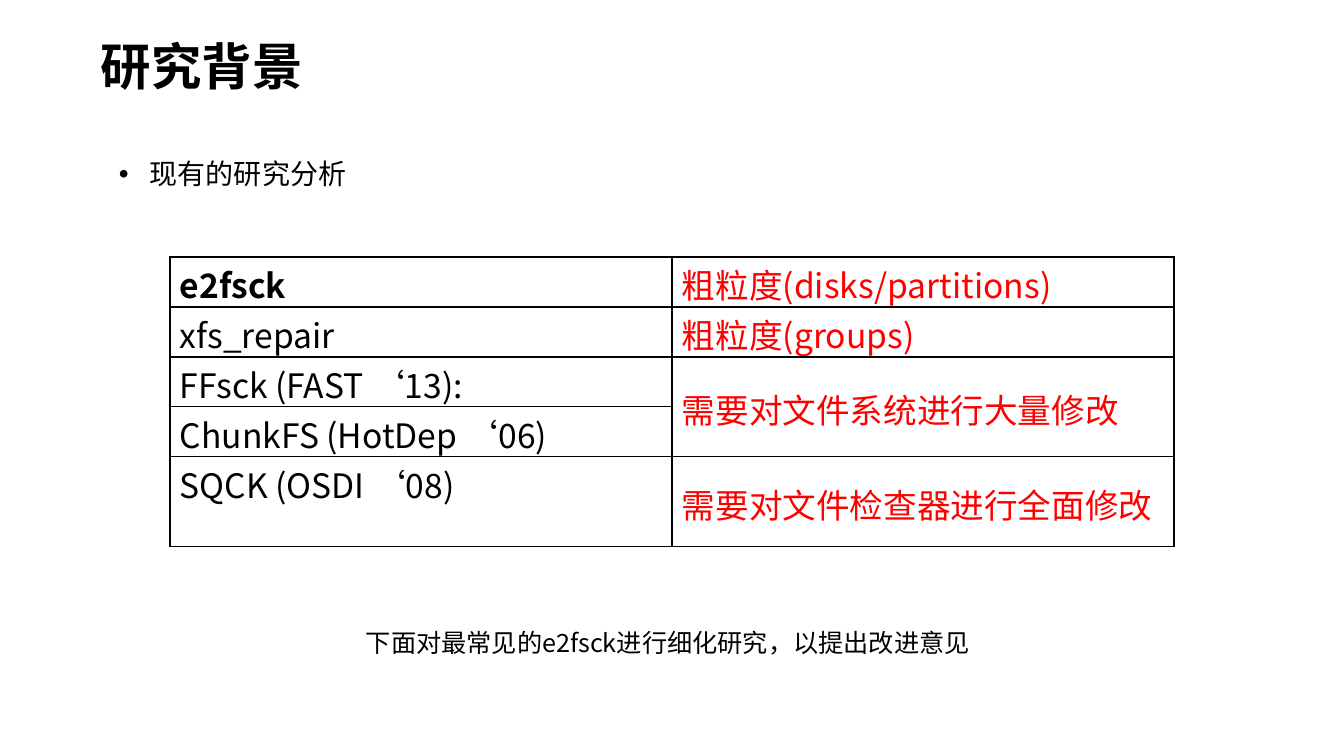
from lxml.etree import SubElement
from pptx import Presentation
from pptx.dml.color import RGBColor
from pptx.enum.text import MSO_ANCHOR as Anchor
from pptx.oxml.ns import qn
from pptx.util import Pt

THEME = {
    "font": "Noto Sans CJK SC",
    "ink": RGBColor(0x00, 0x00, 0x00),
    "alert": RGBColor(0xFF, 0x00, 0x00),
    "title": Pt(36),
    "cell": Pt(24),
    "bullet": Pt(20),
    "caption": Pt(18),
    "leading": 0.83,
}
PX_PER_INCH = 100.8


def px(length):
    return round(length * 914400 / PX_PER_INCH)


def write(frame, text, size, color=THEME["ink"], bold=False, bullet=False):
    """Fill the frame's first paragraph, with an East Asian font to match."""
    paragraph = frame.paragraphs[0]
    paragraph.text = text
    if bullet:
        properties = paragraph._p.get_or_add_pPr()
        properties.set("marL", str(px(31)))
        properties.set("indent", str(px(-31)))
        SubElement(properties, qn("a:buFont"), typeface="Arial")
        SubElement(properties, qn("a:buChar"), char="•")
    font = paragraph.font
    font.name, font.size, font.bold = THEME["font"], size, bold
    font.color.rgb = color
    run_properties = paragraph.runs[0]._r.get_or_add_rPr()
    SubElement(run_properties, qn("a:ea"), typeface=THEME["font"])
    return paragraph


deck = Presentation()
deck.slide_width, deck.slide_height = px(1344), px(756)
slide = deck.slides.add_slide(deck.slide_layouts[6])

# Title, bullet and closing remark
title = slide.shapes.add_textbox(px(91), px(27), px(379), px(74)).text_frame
title.word_wrap = True
title.vertical_anchor = Anchor.BOTTOM
write(title, "研究背景", THEME["title"], bold=True).line_spacing = 0.9

topic = slide.shapes.add_textbox(px(109), px(152), px(250), px(44)).text_frame
write(topic, "现有的研究分析", THEME["bullet"], bullet=True)

remark = slide.shapes.add_textbox(px(356), px(627), px(633), px(71)).text_frame
remark.word_wrap = True
write(remark, "下面对最常见的e2fsck进行细化研究，以提出改进意见",
      THEME["caption"]).line_spacing = THEME["leading"]

# Checkers and their drawbacks
checkers = [
    ("e2fsck", "粗粒度(disks/partitions)"),
    ("xfs_repair", "粗粒度(groups)"),
    ("FFsck (FAST ‘13):", "需要对文件系统进行大量修改"),
    ("ChunkFS (HotDep ‘06)", None),
    ("SQCK (OSDI ‘08)", "需要对文件检查器进行全面修改"),
]
row_heights = [50, 50, 50, 50, 90]
table = slide.shapes.add_table(len(checkers), 2, px(170), px(257),
                               px(1004), px(sum(row_heights))).table
table.first_row = table.horz_banding = False
for column in table.columns:
    column.width = px(502)
for row, height in zip(table.rows, row_heights):
    row.height = px(height)
table.cell(2, 1).merge(table.cell(3, 1))

for row_index, entries in enumerate(checkers):
    for column_index, entry in enumerate(entries):
        cell = table.cell(row_index, column_index)
        cell.margin_left = cell.margin_right = px(10)
        cell.margin_top, cell.margin_bottom = px(9), 0
        is_drawback = column_index == 1
        cell.vertical_anchor = Anchor.MIDDLE if is_drawback else Anchor.TOP
        if entry:
            write(cell.text_frame, entry, THEME["cell"],
                  THEME["alert" if is_drawback else "ink"],
                  bold=entry == "e2fsck").line_spacing = THEME["leading"]
        cell_properties = cell._tc.get_or_add_tcPr()
        for side in ("lnL", "lnR", "lnT", "lnB"):
            border = SubElement(cell_properties, qn(f"a:{side}"), w=str(Pt(1)))
            fill = SubElement(border, qn("a:solidFill"))
            SubElement(fill, qn("a:srgbClr"), val=str(THEME["ink"]))
        cell.fill.background()

deck.save("out.pptx")
